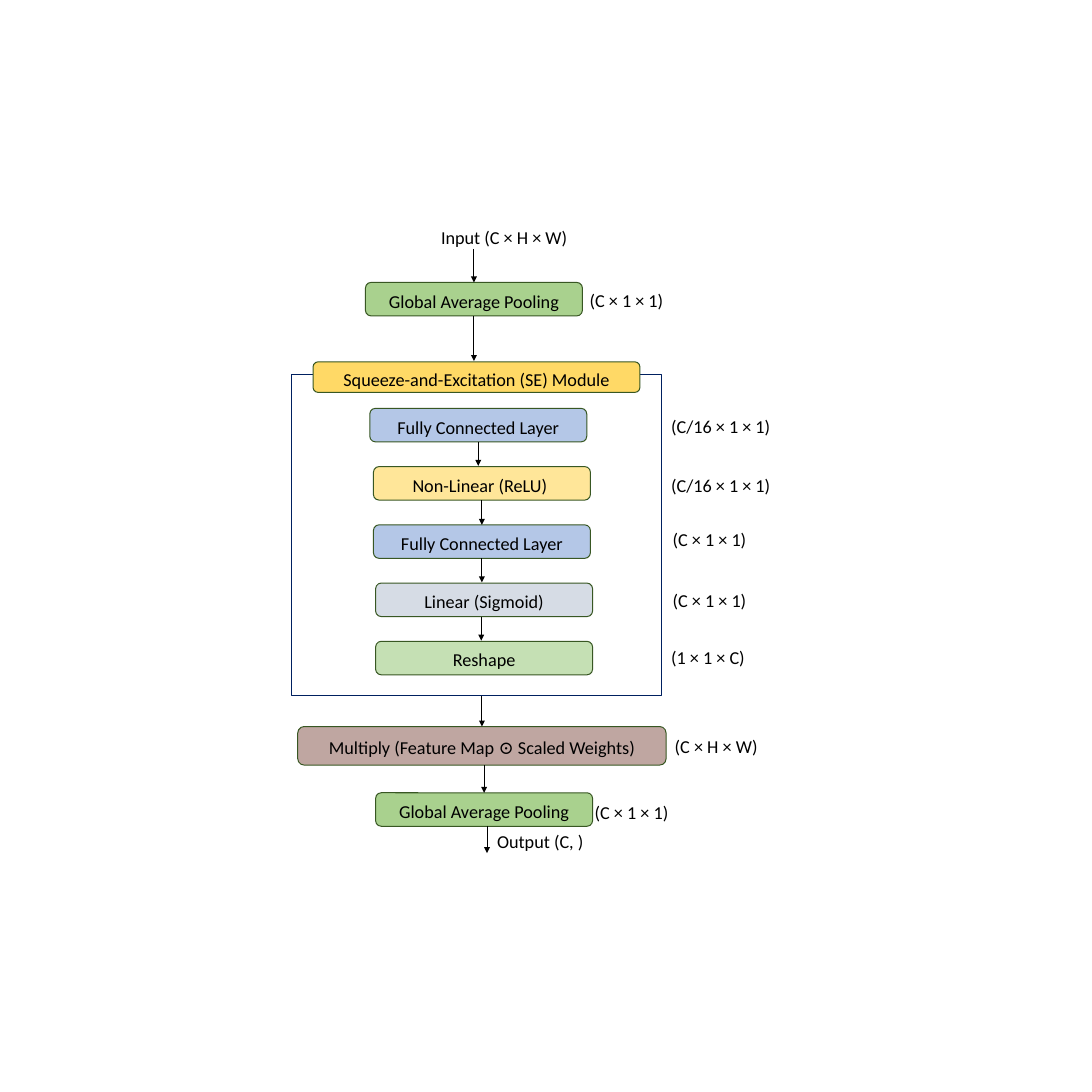
from dataclasses import dataclass
from typing import Optional

from lxml.etree import SubElement
from pptx import Presentation
from pptx.dml.color import RGBColor
from pptx.enum.shapes import MSO_CONNECTOR as Connector, MSO_SHAPE as Preset
from pptx.enum.text import MSO_ANCHOR as Anchor, PP_ALIGN as Align
from pptx.oxml.ns import qn
from pptx.util import Emu, Pt

EMU_PER_PX = 9144  # 100 px to the inch
BLACK = RGBColor(0x00, 0x00, 0x00)
NAVY = RGBColor(0x00, 0x20, 0x60)
DARK_GREEN = RGBColor(0x38, 0x57, 0x23)
GREEN = RGBColor(0xA9, 0xD1, 0x8E)
PALE_GREEN = RGBColor(0xC5, 0xE0, 0xB4)
BLUE = RGBColor(0xB4, 0xC7, 0xE7)
YELLOW = RGBColor(0xFF, 0xE6, 0x99)
GOLD = RGBColor(0xFF, 0xD9, 0x66)
GREY = RGBColor(0xD6, 0xDC, 0xE5)
MAUVE = RGBColor(0xBF, 0xA6, 0xA1)
TOP, BOTTOM = 0, 2
OPERATOR = "⊙"


@dataclass
class Block:
    key: str
    text: str
    left: int
    top: int
    fill: RGBColor
    width: int = 298
    height: int = 46


@dataclass
class Label:
    text: str
    left: int
    top: int
    width: int = 182
    height: int = 46


@dataclass
class Arrow:
    x: int
    top: int
    bottom: int
    source: Optional[str] = None
    target: Optional[str] = None


# Layers inside the module stand at an equal pitch
LAYER_TOP, LAYER_PITCH = 561, 80
LAYERS = [
    ("reduce", "Fully Connected Layer", 508, BLUE),
    ("relu", "Non-Linear (ReLU) ", 513, YELLOW),
    ("expand", "Fully Connected Layer", 513, BLUE),
    ("sigmoid", "Linear (Sigmoid)", 516, GREY),
    ("reshape", "Reshape", 516, PALE_GREEN),
]
BLOCKS = [
    Block("pool in", "Global Average Pooling", 502, 388, GREEN),
    Block("module", "Squeeze-and-Excitation (SE) Module", 430, 497, GOLD, 449, 42),
    *(Block(key, text, left, LAYER_TOP + row * LAYER_PITCH, fill)
      for row, (key, text, left, fill) in enumerate(LAYERS)),
    Block("multiply", f"Multiply (Feature Map {OPERATOR} Scaled Weights)",
          409, 998, MAUVE, 506, 53),
    Block("pool out", "Global Average Pooling", 516, 1089, GREEN),
]
LABELS = [
    Label("Input (C × H × W)", 596, 302, 240, 63),
    Label("(C × 1 × 1)", 800, 388, 162, 48),
    Label("(C/16 × 1 × 1)", 912, 561),
    Label("(C/16 × 1 × 1)", 912, 642),
    Label("(C × 1 × 1)", 914, 716),
    Label("(C × 1 × 1)", 914, 800),
    Label("(1 × 1 × C)", 912, 878),
    Label("(C × H × W)", 917, 1000),
    Label("(C × 1 × 1)", 807, 1091),
    Label("Output (C, )", 673, 1131, 240, 63),
]
ARROWS = [
    Arrow(651, 342, 388, target="pool in"),
    Arrow(651, 434, 496, source="pool in"),
    Arrow(657, 607, 640, source="reduce"),
    Arrow(662, 687, 721, source="relu", target="expand"),
    Arrow(662, 767, 800, source="expand"),
    Arrow(661, 847, 880),
    Arrow(662, 956, 998, target="multiply"),
    Arrow(665, 1051, 1089, target="pool out"),
    Arrow(669, 1135, 1172),
]


def px(length: int) -> Emu:
    return Emu(length * EMU_PER_PX)


def write_text(shape, text: str, alignment: Align, anchor: Anchor) -> None:
    text_frame = shape.text_frame
    text_frame.word_wrap = True
    text_frame.vertical_anchor = anchor
    paragraph = text_frame.paragraphs[0]
    paragraph.alignment = alignment
    paragraph.line_spacing = 1.15
    paragraph.space_after = Pt(8)
    for part in filter(None, text.partition(OPERATOR)):
        run = paragraph.add_run()
        run.text = part
        run.font.name = "Cambria" if part == OPERATOR else "Calibri"
        run.font.size = Pt(18)
        run.font.color.rgb = BLACK


def draw_frame(slide) -> None:
    shape = slide.shapes.add_shape(
        Preset.RECTANGLE, px(401), px(514), px(508), px(441))
    shape.shadow.inherit = False
    shape.fill.background()
    shape.line.color.rgb = NAVY
    shape.line.width = Pt(1)


def draw_block(slide, block: Block):
    shape = slide.shapes.add_shape(
        Preset.ROUNDED_RECTANGLE,
        px(block.left), px(block.top), px(block.width), px(block.height))
    shape.shadow.inherit = False
    shape.fill.solid()
    shape.fill.fore_color.rgb = block.fill
    shape.line.color.rgb = DARK_GREEN
    shape.line.width = Pt(1)
    write_text(shape, block.text, Align.CENTER, Anchor.MIDDLE)
    return shape


def draw_label(slide, label: Label) -> None:
    shape = slide.shapes.add_textbox(
        px(label.left), px(label.top), px(label.width), px(label.height))
    write_text(shape, label.text, Align.LEFT, Anchor.TOP)


def draw_arrow(slide, arrow: Arrow, shapes: dict) -> None:
    connector = slide.shapes.add_connector(
        Connector.STRAIGHT,
        px(arrow.x), px(arrow.top), px(arrow.x), px(arrow.bottom))
    if arrow.source:
        connector.begin_connect(shapes[arrow.source], BOTTOM)
    if arrow.target:
        connector.end_connect(shapes[arrow.target], TOP)
    connector.line.color.rgb = BLACK
    connector.line.width = Pt(1)
    properties = connector._element.spPr
    SubElement(properties.find(qn("a:ln")), qn("a:tailEnd"), type="triangle")
    SubElement(properties, qn("a:effectLst"))


def main() -> None:
    presentation = Presentation()
    presentation.slide_width = presentation.slide_height = px(1500)
    slide = presentation.slides.add_slide(presentation.slide_layouts[6])

    # Module frame, with the blocks above it
    draw_frame(slide)
    shapes = {block.key: draw_block(slide, block) for block in BLOCKS}

    # Flow and tensor sizes
    for arrow in ARROWS:
        draw_arrow(slide, arrow, shapes)
    for label in LABELS:
        draw_label(slide, label)

    presentation.save("out.pptx")


if __name__ == "__main__":
    main()
